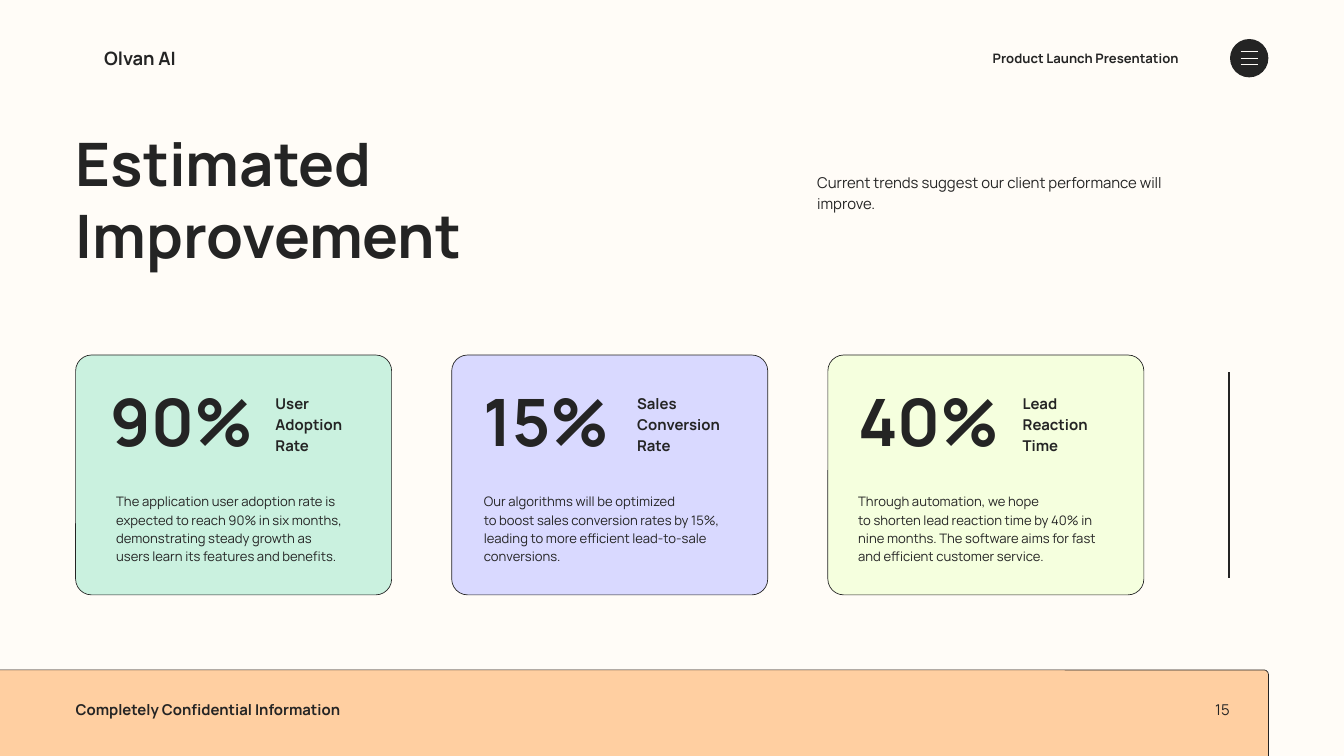
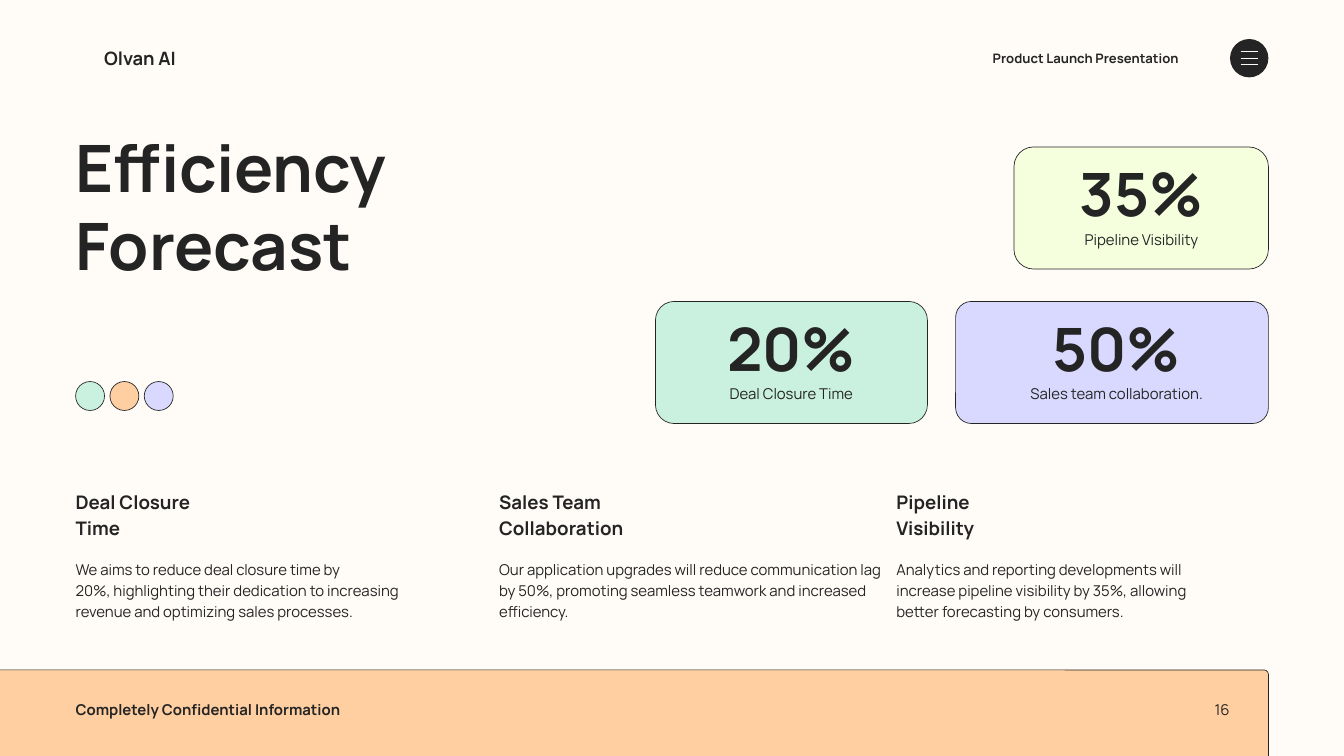
from lxml import etree
from pptx import Presentation
from pptx.dml.color import RGBColor
from pptx.enum.shapes import MSO_CONNECTOR, MSO_SHAPE
from pptx.enum.text import PP_ALIGN
from pptx.oxml.ns import qn
from pptx.util import Pt

CREAM = RGBColor(0xFF, 0xFC, 0xF7)
INK = RGBColor(0x24, 0x24, 0x24)
PEACH = RGBColor(0xFF, 0xCF, 0xA1)
MINT = RGBColor(0xCA, 0xF1, 0xDF)
LAVENDER = RGBColor(0xD9, 0xD9, 0xFF)
LIME = RGBColor(0xF5, 0xFF, 0xDE)
FONT = "Manrope"
LEFT, CENTER, RIGHT, JUSTIFY = PP_ALIGN.LEFT, PP_ALIGN.CENTER, PP_ALIGN.RIGHT, PP_ALIGN.JUSTIFY
OVAL, ROUNDED = MSO_SHAPE.OVAL, MSO_SHAPE.ROUNDED_RECTANGLE
STRAIGHT = MSO_CONNECTOR.STRAIGHT
MARGIN, RIGHT_EDGE = 81, 1359


def add_text(slide, wording, x, y, w, h, size, leading, bold=False, align=LEFT):
    frame = slide.shapes.add_textbox(Pt(x), Pt(y), Pt(w), Pt(h)).text_frame
    frame.margin_left = frame.margin_right = frame.margin_top = frame.margin_bottom = 0
    frame.word_wrap = True
    frame.text = wording
    for paragraph in frame.paragraphs:
        paragraph.alignment = align
        paragraph.line_spacing = Pt(leading)
        for run in paragraph.runs:
            run.font.name = FONT
            run.font.size = Pt(size)
            run.font.bold = bold
            run.font.color.rgb = INK


def add_panel(slide, kind, x, y, w, h, color, radius=0):
    panel = slide.shapes.add_shape(kind, Pt(x), Pt(y), Pt(w), Pt(h))
    panel.shadow.inherit = False
    panel.fill.solid()
    panel.fill.fore_color.rgb = color
    panel.line.color.rgb = INK
    panel.line.width = Pt(0.75)
    if radius:
        panel.adjustments[0] = radius / min(w, h)
    return panel


prs = Presentation()
prs.slide_width, prs.slide_height = Pt(1440), Pt(810)
improvement, forecast = [prs.slides.add_slide(prs.slide_layouts[6]) for _ in range(2)]

for slide, number, title, size, leading in [
    (improvement, "15", "Estimated\nImprovement", 64.2, 77),
    (forecast, "16", "Efficiency\nForecast", 70, 84),
]:
    slide.background.fill.solid()
    slide.background.fill.fore_color.rgb = CREAM

    menu = add_panel(slide, OVAL, 1317.9, 41.8, 41.1, 41.1, INK)
    menu.line.fill.background()
    rules = [(1329.2, y, 1347.8, y, CREAM) for y in (55.4, 62.4, 69.4)]
    if slide is improvement:
        rules.append((1317, 399, 1317, 619, INK))
    for x1, y1, x2, y2, color in rules:
        rule = slide.shapes.add_connector(STRAIGHT, Pt(x1), Pt(y1), Pt(x2), Pt(y2))
        rule.line.color.rgb = color
        rule.line.width = Pt(1.5)
        etree.SubElement(rule._element.spPr, qn("a:effectLst"))

    add_text(slide, "Olvan AI", 111.6, 46.2, 128, 28, 19.7, 27.6, True, JUSTIFY)
    add_text(slide, "Product Launch Presentation", 1000, 51.2, 263, 20, 14, 19.6, True, RIGHT)
    add_panel(slide, ROUNDED, -26.6, 717.8, RIGHT_EDGE + 26.6, 124.6, PEACH, 4.7)
    add_text(slide, "Completely Confidential Information", MARGIN, 747.4, 318, 22.4, 16, 22.4, True)
    add_text(slide, number, 1248.5, 747.4, 69, 22.4, 16, 22.4, align=RIGHT)
    add_text(slide, title, MARGIN, 135.8, 640, 2 * leading, size, leading, True)

add_text(improvement, "Current trends suggest our client performance will\nimprove.",
         875.5, 182.9, 502, 44, 16, 22.4)

rates = [
    (MINT, "90%", 118.8, "User\nAdoption\nRate", 295.2, 124.5,
     "The application user adoption rate is\nexpected to reach 90% in six months,\n"
     "demonstrating steady growth as\nusers learn its features and benefits."),
    (LAVENDER, "15%", 518.4, "Sales\nConversion\nRate", 682.6, 518.4,
     "Our algorithms will be optimized\nto boost sales conversion rates by 15%,\n"
     "leading to more efficient lead-to-sale\nconversions."),
    (LIME, "40%", 919.5, "Lead\nReaction\nTime", 1095.8, 919.5,
     "Through automation, we hope\nto shorten lead reaction time by 40% in\n"
     "nine months. The software aims for fast\nand efficient customer service."),
]
for i, (color, rate, rate_x, label, label_x, detail_x, detail) in enumerate(rates):
    add_panel(improvement, ROUNDED, MARGIN + 403 * i, 380.4, 338.6, 257, color, 17)
    add_text(improvement, rate, rate_x, 408.2, 185, 88, 70, 84, True)
    add_text(improvement, label, label_x, 419.8, 125, 66, 16, 22.4, True)
    add_text(improvement, detail, detail_x, 526.3, 320, 79, 14, 19.6)

for x, y, w, radius, color, gain, caption, center in [
    (702.3, 323, 291.4, 20, MINT, "20%", "Deal Closure Time", 847.8),
    (1023.9, 323, 335.1, 17, LAVENDER, "50%", "Sales team collaboration.", 1196.5),
    (1086.4, 157.5, 272.6, 21, LIME, "35%", "Pipeline Visibility", 1223),
]:
    add_panel(forecast, ROUNDED, x, y, w, 130.8, color, radius)
    add_text(forecast, gain, center - 102, y + 11, 204, 81, 64, 76.8, True, CENTER)
    add_text(forecast, caption, center - 128, y + 86.3, 256, 22.4, 16, 22.4, align=CENTER)

for i, color in enumerate([MINT, PEACH, LAVENDER]):
    add_panel(forecast, OVAL, MARGIN + 36.8 * i, 408.8, 31, 31, color)

for x, heading, w, detail in [
    (MARGIN, "Deal Closure\nTime", 436,
     "We aims to reduce deal closure time by\n"
     "20%, highlighting their dedication to increasing\n"
     "revenue and optimizing sales processes."),
    (534.8, "Sales Team\nCollaboration", 420,
     "Our application upgrades will reduce communication lag by 50%, "
     "promoting seamless teamwork and increased efficiency."),
    (960.5, "Pipeline\nVisibility", 415,
     "Analytics and reporting developments will\n"
     "increase pipeline visibility by 35%, allowing\n"
     "better forecasting by consumers."),
]:
    add_text(forecast, heading, x, 522, 194, 57, 20, 28, True)
    add_text(forecast, detail, x, 597.6, w, 66, 16, 22.4)

prs.save("out.pptx")
